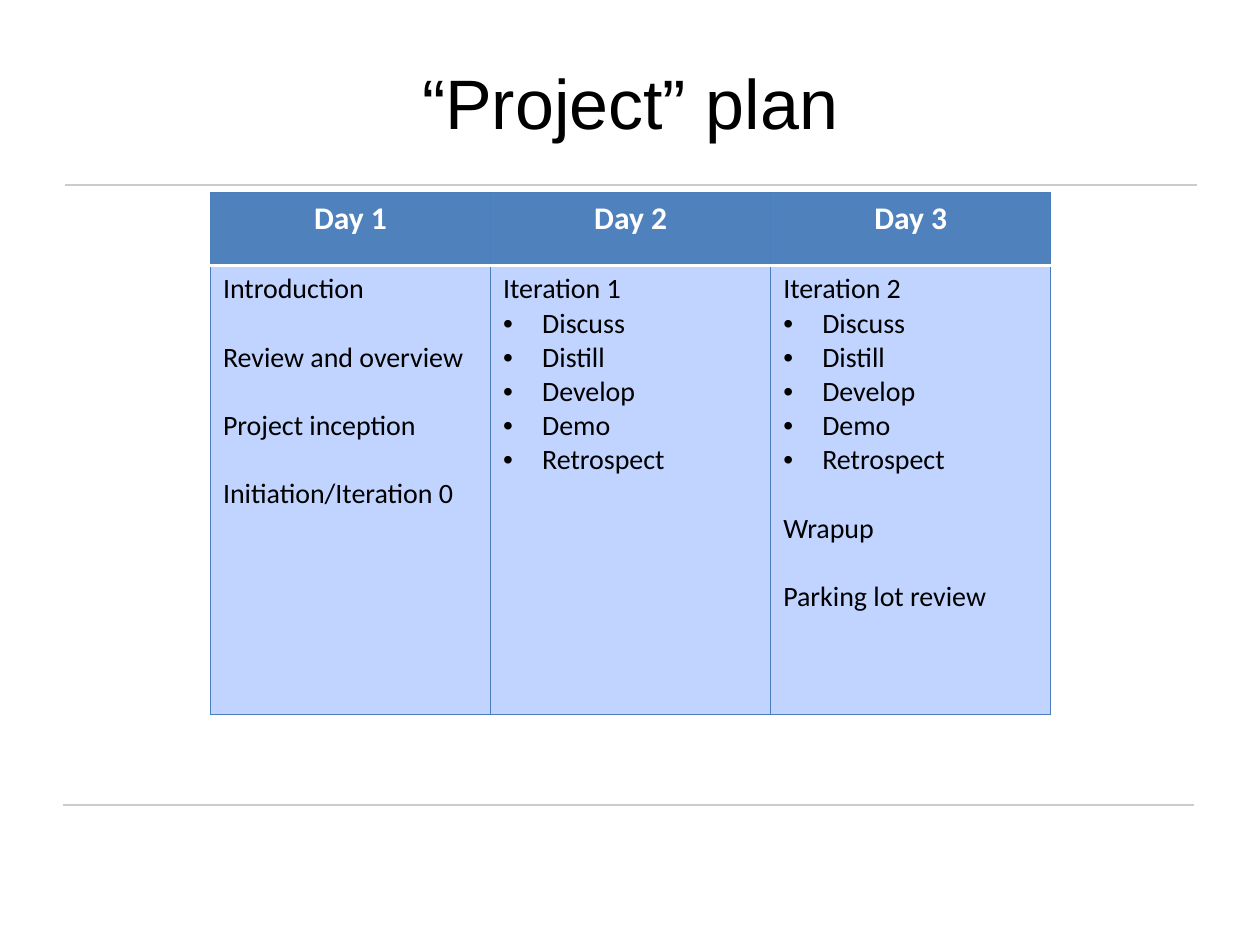
import pptx
import pptx.dml.color
import pptx.enum.shapes
import pptx.enum.text
import pptx.oxml.ns
import pptx.util
from lxml import etree

Inches, Pt = pptx.util.Inches, pptx.util.Pt
RGBColor = pptx.dml.color.RGBColor
PP_ALIGN = pptx.enum.text.PP_ALIGN
qn = pptx.oxml.ns.qn

BLACK = RGBColor(0x00, 0x00, 0x00)
WHITE = RGBColor(0xFF, 0xFF, 0xFF)
RULE_GREY = RGBColor(0xCC, 0xCC, 0xCC)
HEADER_BLUE = RGBColor(0x4F, 0x81, 0xBD)
BODY_BLUE = RGBColor(0xC0, 0xD4, 0xFF)
BORDER_BLUE = RGBColor(0x4B, 0x7E, 0xBC)

ITERATION_STEPS = ["• Discuss", "• Distill", "• Develop", "• Demo", "• Retrospect"]
# Each day lists blocks of lines; blocks are one line apart.
DAYS = {
    "Day 1": [["Introduction"], ["Review and overview"],
              ["Project inception"], ["Initiation/Iteration 0"]],
    "Day 2": [["Iteration 1"] + ITERATION_STEPS],
    "Day 3": [["Iteration 2"] + ITERATION_STEPS, ["Wrapup"], ["Parking lot review"]],
}
BLOCK_GAP = Pt(19.5)


def write(p, text, size, font="Calibri", color=BLACK, bold=False,
          align=PP_ALIGN.LEFT, before=None):
    """Fill a paragraph; a leading bullet sign makes it a bulleted one."""
    if text.startswith("• "):
        text = text[2:]
        pPr = p._p.get_or_add_pPr()
        pPr.set("marL", str(Inches(0.31)))
        pPr.set("indent", str(Inches(-0.31)))
        etree.SubElement(pPr, qn("a:buFont"), typeface="Arial")
        etree.SubElement(pPr, qn("a:buChar"), char="•")
    p.alignment = align
    if before:
        p.space_before = before
    r = p.add_run()
    r.text = text
    r.font.name, r.font.size, r.font.bold = font, Pt(size), bold
    r.font.color.rgb = color


def style_cell(cell, fill, top=(BORDER_BLUE, 0.75), bottom=(BORDER_BLUE, 0.75)):
    side = (BORDER_BLUE, 0.75)
    tcPr = cell._tc.get_or_add_tcPr()
    for tag, (color, width) in zip(("lnL", "lnR", "lnT", "lnB"),
                                   (side, side, top, bottom)):
        ln = etree.SubElement(tcPr, qn("a:" + tag), w=str(Pt(width)))
        solid = etree.SubElement(ln, qn("a:solidFill"))
        etree.SubElement(solid, qn("a:srgbClr"), val=str(color))
    cell.fill.solid()
    cell.fill.fore_color.rgb = fill


def add_rule(s, left, top, width):
    line = s.shapes.add_connector(pptx.enum.shapes.MSO_CONNECTOR.STRAIGHT,
                                  left, top, left + width, top)
    line.line.color.rgb = RULE_GREY
    line.line.width = Pt(1)
    etree.SubElement(line._element.spPr, qn("a:effectLst"))


def add_title(s, text, left, top, width, height):
    sp = s.shapes.title
    sp.left, sp.top, sp.width, sp.height = left, top, width, height
    tf = sp.text_frame
    tf.vertical_anchor = pptx.enum.text.MSO_ANCHOR.MIDDLE
    write(tf.paragraphs[0], text, 40, font="Arial", align=PP_ALIGN.CENTER)


def add_plan(s, days, left, top, width, header_height, body_height):
    table = s.shapes.add_table(2, len(days), left, top, width,
                               header_height + body_height).table
    table.rows[0].height, table.rows[1].height = header_height, body_height
    divider = (WHITE, 2)
    for col, (day, blocks) in enumerate(days.items()):
        header, body = table.cell(0, col), table.cell(1, col)
        style_cell(header, HEADER_BLUE, bottom=divider)
        style_cell(body, BODY_BLUE, top=divider)
        write(header.text_frame.paragraphs[0], day, 18, color=WHITE,
              bold=True, align=PP_ALIGN.CENTER)
        tf = body.text_frame
        for b, block in enumerate(blocks):
            for i, text in enumerate(block):
                first = b == 0 and i == 0
                p = tf.paragraphs[0] if first else tf.add_paragraph()
                write(p, text, 16, before=BLOCK_GAP if b and i == 0 else None)


def main():
    prs = pptx.Presentation()
    prs.slide_width, prs.slide_height = Inches(10), Inches(7.5)
    s = prs.slides.add_slide(prs.slide_layouts[5])
    add_rule(s, Inches(0.5), Inches(6.39), Inches(8.98))
    add_rule(s, Inches(0.52), Inches(1.47), Inches(8.98))
    add_title(s, "“Project” plan", Inches(0.5), Inches(0.3), Inches(9), Inches(1.01))
    add_plan(s, DAYS, Inches(1.67), Inches(1.53), Inches(6.67),
             Inches(0.58), Inches(3.56))
    prs.save("out.pptx")


if __name__ == "__main__":
    main()
